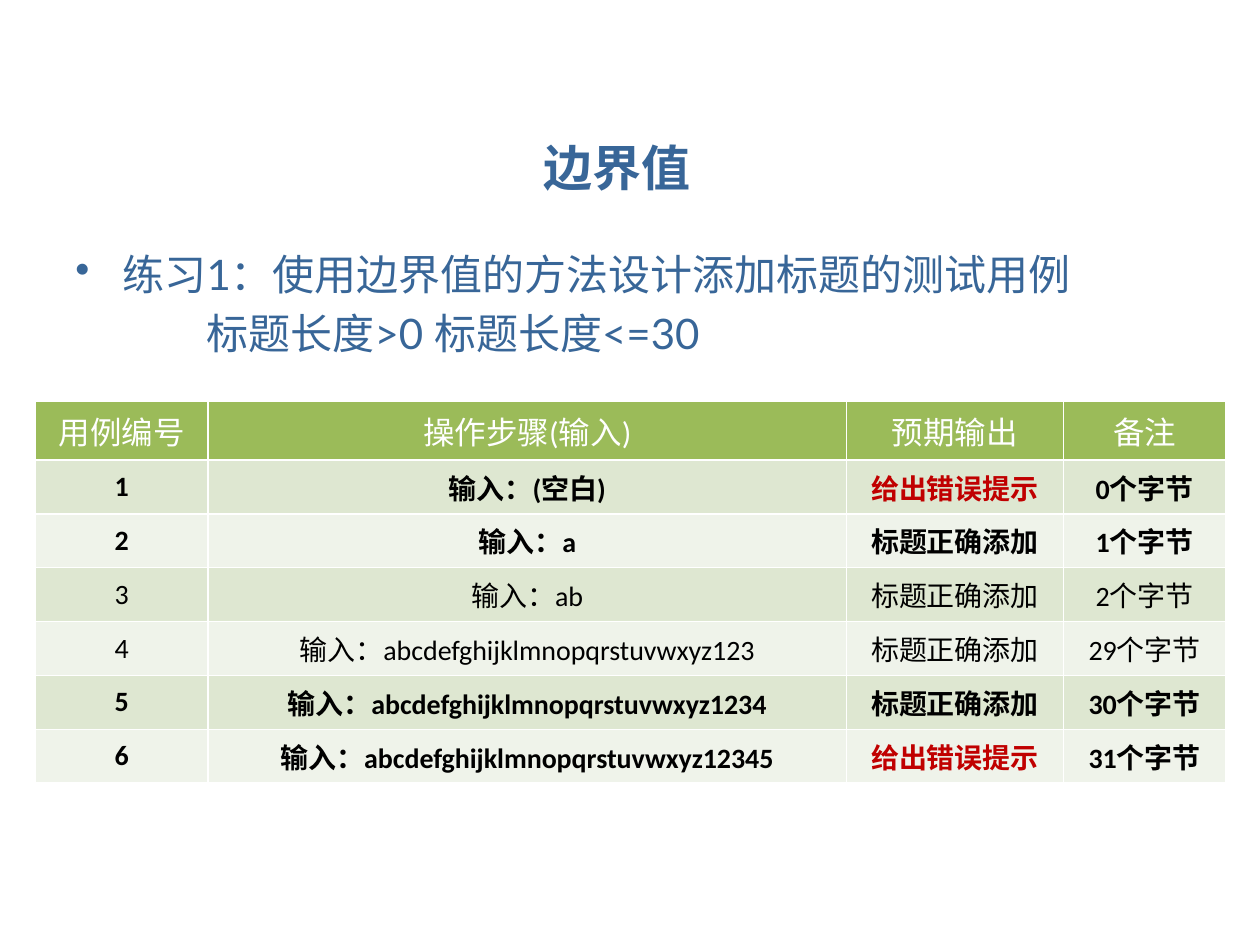
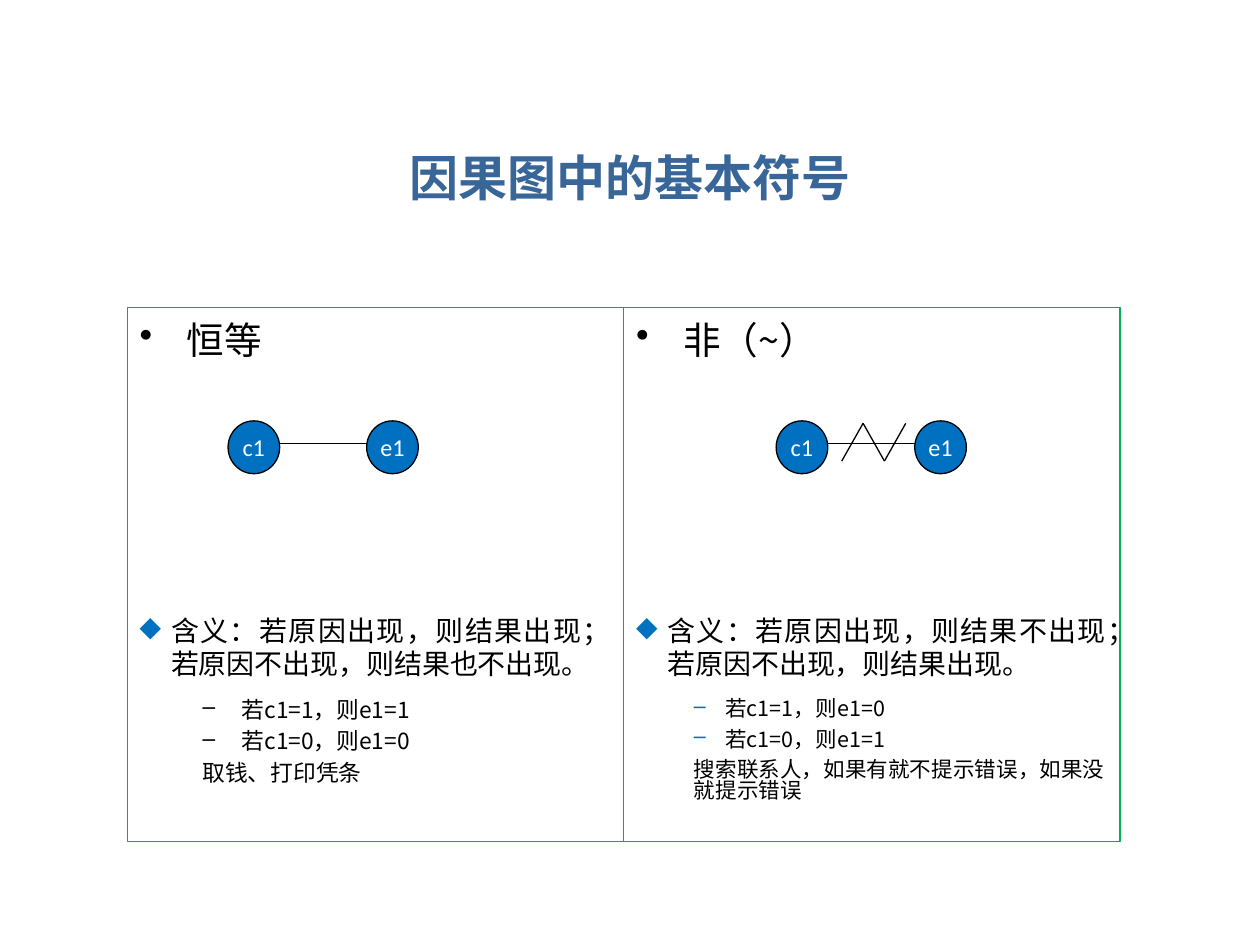
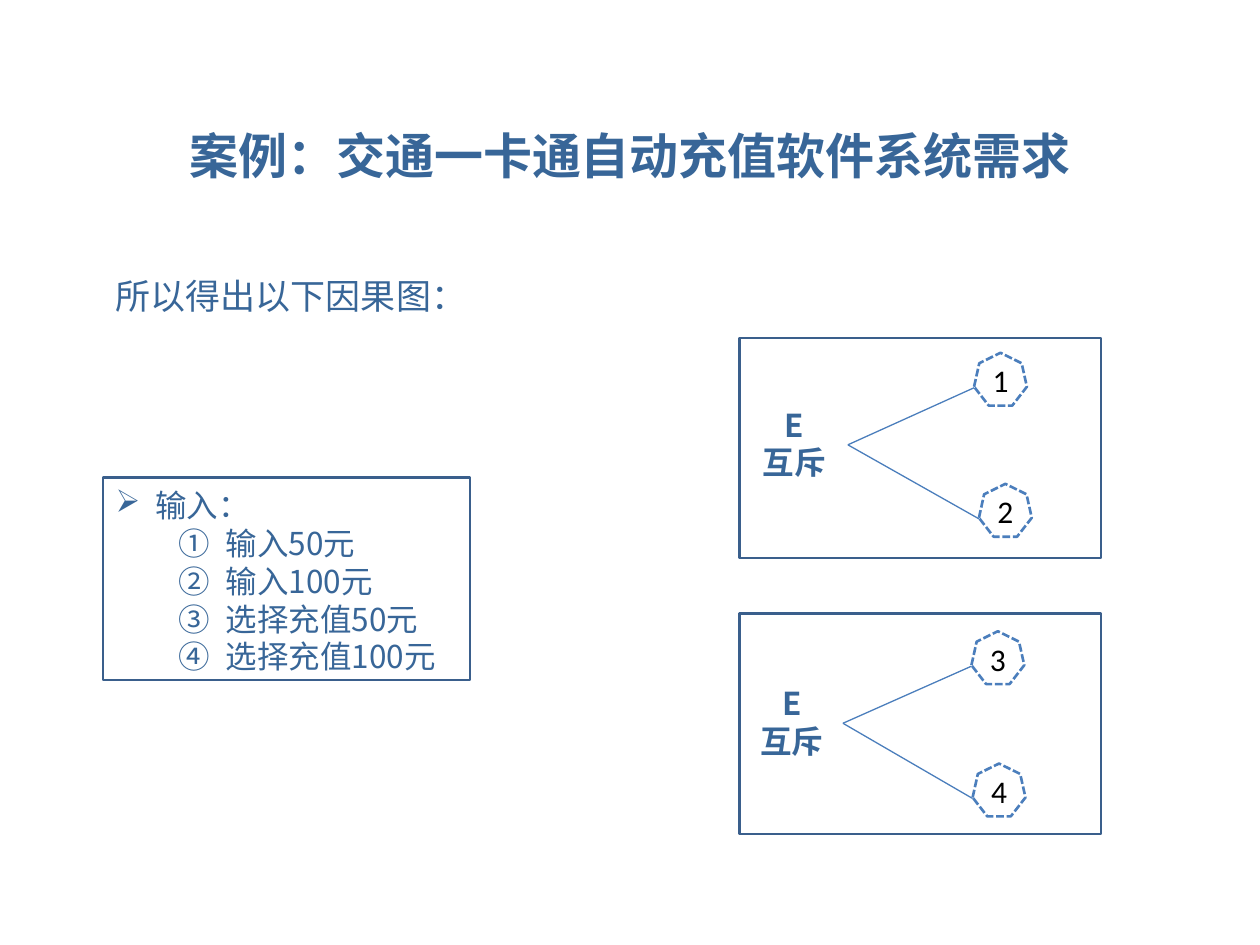
"""Build three slides on boundary values and cause-effect graphs."""
from dataclasses import dataclass
from itertools import pairwise
from typing import Any, NamedTuple

from lxml import etree
from pptx import Presentation
from pptx.dml.color import RGBColor
from pptx.enum.dml import MSO_LINE
from pptx.enum.shapes import MSO_CONNECTOR, MSO_SHAPE
from pptx.enum.text import MSO_ANCHOR, PP_ALIGN
from pptx.oxml.ns import qn
from pptx.util import Pt

NAVY = RGBColor(0x38, 0x66, 0x98)
FRAME = RGBColor(0x3A, 0x5F, 0x8C)
STEEL = RGBColor(0x4B, 0x7E, 0xBC)
BLUE = RGBColor(0x00, 0x70, 0xC0)
GREEN = RGBColor(0x00, 0xB0, 0x50)
HEADER = RGBColor(0x9B, 0xBB, 0x59)
BANDS = (RGBColor(0xDE, 0xE7, 0xD1), RGBColor(0xEF, 0xF3, 0xEA))
RED = RGBColor(0xC0, 0x00, 0x00)
BLACK = RGBColor(0x00, 0x00, 0x00)
WHITE = RGBColor(0xFF, 0xFF, 0xFF)

LATO, CALIBRI, CJK, TIMES = "Lato", "Calibri", "Noto Sans CJK SC", "Times New Roman"
LEFT, CENTER, JUSTIFY = PP_ALIGN.LEFT, PP_ALIGN.CENTER, PP_ALIGN.JUSTIFY
TOP, MIDDLE = MSO_ANCHOR.TOP, MSO_ANCHOR.MIDDLE
RECTANGLE, OVAL, HEPTAGON = MSO_SHAPE.RECTANGLE, MSO_SHAPE.OVAL, MSO_SHAPE.HEPTAGON
STRAIGHT, DASH = MSO_CONNECTOR.STRAIGHT, MSO_LINE.SQUARE_DOT
NUMBERED = "circleNumDbPlain"
INSET = 3.6
BASELINE_DROP = 0.08


class Area(NamedTuple):
    """Left, top, width and height in points."""

    left: float
    top: float
    width: float
    height: float


class Point(NamedTuple):
    """A position in points."""

    x: float
    y: float


class Style(NamedTuple):
    """Character format and line pitch relative to the size."""

    size: float
    name: str = CJK
    color: RGBColor = BLACK
    bold: bool = False
    pitch: float | None = 1.2


@dataclass(frozen=True)
class Line:
    """One paragraph with its format."""

    text: str
    style: Style
    align: PP_ALIGN = LEFT
    level: int = 0
    margin: float = 0
    indent: float = 0
    before: float = 0
    after: float = 0
    bullet: str = ""
    bullet_color: RGBColor | None = None


@dataclass(frozen=True)
class Panel:
    """A symbol of the cause-effect graph with its explanation."""

    left: float
    diagram_left: float
    heading: str
    meaning: str
    details: tuple[Line, ...]
    negated: bool = False


class Choice(NamedTuple):
    """A numbered input and the corner of its heptagon."""

    number: str
    corner: Point


class Exclusion(NamedTuple):
    """Two inputs that exclude each other."""

    frame_top: float
    label: Point
    apex: Point
    choices: tuple[Choice, ...]


TITLE = Style(28, LATO, NAVY, True)
BODY = Style(24, LATO, NAVY)
INTRO = Style(20, CJK, NAVY)
LIST = Style(18, CJK, NAVY)
LABEL = Style(18, CJK, NAVY, True)
NUMBER = Style(18, CALIBRI, BLACK, pitch=None)
NODE = Style(13.8, CALIBRI, WHITE, pitch=None)
HEADING, MEANING = Style(21.5), Style(16)
IDENTITY_DETAIL, NEGATION_DETAIL = Style(13), Style(12.3, pitch=0.95)

COLUMNS = (98.6, 365, 123.8, 92.9)
HEADERS = ("用例编号", "操作步骤(输入)", "预期输出", "备注")
ADDED, ERROR = "标题正确添加", "给出错误提示"
LETTERS = "abcdefghijklmnopqrstuvwxyz"
CASES = (
    ("(空白)", ERROR, 0),
    ("a", ADDED, 1),
    ("ab", ADDED, 2),
    (LETTERS + "123", ADDED, 29),
    (LETTERS + "1234", ADDED, 30),
    (LETTERS + "12345", ERROR, 31),
)
PLAIN_CASES = (3, 4)

PANELS = (
    Panel(
        356.4, 443.5, "非（~）",
        "含义：若原因出现，则结果不出现；若原因不出现，则结果出现。",
        tuple(
            Line(text, NEGATION_DETAIL, level=1, margin=51, indent=-18,
                 before=5.7, bullet="–", bullet_color=BLUE)
            for text in ("若c1=1，则e1=0", "若c1=0，则e1=1")
        ) + (Line("搜索联系人，如果有就不提示错误，如果没就提示错误",
                  NEGATION_DETAIL, level=1, margin=33, before=5.7),),
        negated=True,
    ),
    Panel(
        72.7, 130.3, "恒等",
        "含义：若原因出现，则结果出现；若原因不出现，则结果也不出现。",
        tuple(
            Line(text, IDENTITY_DETAIL, level=1, margin=58.5, indent=-22.5,
                 before=2.6, bullet="–")
            for text in ("若c1=1，则e1=1", "若c1=0，则e1=0")
        ) + (Line("取钱、打印凭条", IDENTITY_DETAIL, level=1, margin=36, before=2.6),),
    ),
)

EXCLUSIONS = (
    Exclusion(350.6, Point(422.6, 385.9), Point(481.7, 413.3),
              (Choice("3", Point(555.1, 360.7)), Choice("4", Point(555.8, 436.3)))),
    Exclusion(193, Point(424.1, 226.8), Point(484.5, 254.2),
              (Choice("1", Point(556.6, 201.6)), Choice("2", Point(559.4, 276.5)))),
)


def apply_format(target: Any, values: dict[str, Any]) -> None:
    """Set each named attribute on the target."""
    for name, value in values.items():
        setattr(target, name, value)


def add_bullet(para: Any, line: Line) -> None:
    """Give the paragraph its bullet and indents."""
    properties = para._p.get_or_add_pPr()
    properties.set("marL", str(Pt(line.margin)))
    properties.set("indent", str(Pt(line.indent)))
    if line.bullet_color is not None:
        color = etree.SubElement(properties, qn("a:buClr"))
        etree.SubElement(color, qn("a:srgbClr"), val=str(line.bullet_color))
    if line.bullet == NUMBERED:
        etree.SubElement(properties, qn("a:buAutoNum"), type=NUMBERED)
    elif line.bullet:
        etree.SubElement(properties, qn("a:buChar"), char=line.bullet)
    else:
        etree.SubElement(properties, qn("a:buNone"))


def write_line(para: Any, line: Line) -> None:
    """Write one formatted line into a paragraph."""
    style = line.style
    apply_format(para, {
        "alignment": line.align,
        "level": line.level,
        "space_before": Pt(line.before),
        "space_after": Pt(line.after),
    })
    if style.pitch:
        para.line_spacing = Pt(round(style.size * style.pitch, 1))
    add_bullet(para, line)
    span = para.add_run()
    span.text = line.text
    apply_format(span.font, {"name": style.name, "size": Pt(style.size), "bold": style.bold})
    span.font.color.rgb = style.color
    properties = span.font._element
    properties.set("lang", "zh-CN")
    latin = properties.find(qn("a:latin"))
    latin.addnext(etree.Element(qn("a:ea"), typeface=CJK))


def write_lines(box: Any, lines: tuple[Line, ...], anchor: MSO_ANCHOR = TOP,
                wrap: bool = True) -> None:
    """Fill a shape with lines."""
    frame = box.text_frame
    first = lines[0].style
    drop = first.size * BASELINE_DROP if first.pitch else 0
    apply_format(frame, {
        "word_wrap": wrap,
        "vertical_anchor": anchor,
        "margin_top": Pt(round(INSET + drop, 1)),
    })
    for index, line in enumerate(lines):
        write_line(frame.add_paragraph() if index else frame.paragraphs[0], line)


def add_text(page: Any, area: Area, *lines: Line, wrap: bool = True) -> None:
    """Place a text box."""
    box = page.shapes.add_textbox(*map(Pt, area))
    write_lines(box, lines, wrap=wrap)


def add_title(page: Any, text: str, area: Area) -> None:
    """Place the slide title."""
    add_text(page, area, Line(text, TITLE, CENTER))


def add_outline(page: Any, kind: MSO_SHAPE, area: Area, color: RGBColor,
                width: float, fill: RGBColor | None = None) -> Any:
    """Draw a preset shape with an outline."""
    shape = page.shapes.add_shape(kind, *map(Pt, area))
    shape.shadow.inherit = False
    if fill is None:
        shape.fill.background()
    else:
        shape.fill.solid()
        shape.fill.fore_color.rgb = fill
    shape.line.color.rgb = color
    shape.line.width = Pt(width)
    return shape


def add_line(page: Any, start: Point, end: Point, color: RGBColor) -> None:
    """Draw a thin straight line."""
    line = page.shapes.add_connector(STRAIGHT, *map(Pt, (*start, *end)))
    line.line.color.rgb = color
    line.line.width = Pt(0.75)
    etree.SubElement(line._element.spPr, qn("a:effectLst"))


def fill_cell(cell: Any, text: str, style: Style, fill: RGBColor) -> None:
    """Write a table cell with white borders."""
    apply_format(cell, {
        "vertical_anchor": MIDDLE,
        "margin_left": Pt(9.4),
        "margin_right": Pt(9.4),
        "margin_top": Pt(INSET),
        "margin_bottom": Pt(INSET),
    })
    properties = cell._tc.get_or_add_tcPr()
    for side in ("lnL", "lnR", "lnT", "lnB"):
        border = etree.SubElement(properties, qn(f"a:{side}"), w=str(Pt(1)))
        solid = etree.SubElement(border, qn("a:solidFill"))
        etree.SubElement(solid, qn("a:srgbClr"), val=str(WHITE))
    cell.fill.solid()
    cell.fill.fore_color.rgb = fill
    write_line(cell.text_frame.paragraphs[0], Line(text, style, CENTER))


def add_case_table(page: Any) -> None:
    """Draw the table of test cases."""
    area = Area(20.2, 229, sum(COLUMNS), 218.6)
    table = page.shapes.add_table(len(CASES) + 1, len(COLUMNS), *map(Pt, area)).table
    table.horz_banding = False
    for column, width in zip(table.columns, COLUMNS):
        column.width = Pt(width)
    for index, row in enumerate(table.rows):
        row.height = Pt(30.8 if index else 33.8)
    for column, text in enumerate(HEADERS):
        fill_cell(table.cell(0, column), text, Style(18, CALIBRI, WHITE, pitch=None), HEADER)
    for number, (entry, result, length) in enumerate(CASES, 1):
        bold = number not in PLAIN_CASES
        texts = (str(number), f"输入：{entry}", result, f"{length}个字节")
        for column, text in enumerate(texts):
            name, color = (TIMES, RED) if text == ERROR else (CALIBRI, BLACK)
            style = Style(16, name, color, bold, None)
            fill_cell(table.cell(number, column), text, style, BANDS[(number - 1) % 2])


def build_boundary_slide(page: Any) -> None:
    """Build the boundary value exercise."""
    add_title(page, "边界值", Area(28.8, 72.7, 647.3, 41))
    add_text(
        page, Area(36, 136.8, 648, 80),
        Line("练习1：使用边界值的方法设计添加标题的测试用例", BODY,
             margin=27, indent=-27, bullet="•"),
        Line("标题长度>0 标题长度<=30", BODY, level=1, margin=75, before=4.8),
    )
    add_case_table(page)


def add_panel(page: Any, panel: Panel) -> None:
    """Draw the frame and text of a symbol."""
    box = add_outline(page, RECTANGLE, Area(panel.left, 175.7, 283.7, 305.3), GREEN, 0.75)
    write_lines(box, (
        Line(panel.heading, HEADING, margin=27, indent=-27, bullet="•"),
        Line(panel.meaning, MEANING, JUSTIFY, margin=18, indent=-18, before=143.6,
             after=6, bullet="◆", bullet_color=BLUE),
        *panel.details,
    ))


def add_symbol(page: Any, panel: Panel) -> None:
    """Draw cause and effect nodes and their link."""
    left, spacing, width = panel.diagram_left, 79.2, 29.5
    for index, name in enumerate(("c1", "e1")):
        area = Area(left + index * spacing, 240.5, width, 30.2)
        node = add_outline(page, OVAL, area, BLACK, 0.75, BLUE)
        write_lines(node, (Line(name, NODE, CENTER),), MIDDLE, wrap=False)
    add_line(page, Point(left + width, 253.4), Point(left + spacing, 253.4), BLACK)
    if panel.negated:
        corners = [Point(left + 37.5 + 12.2 * step, 241.9 if step % 2 else 263.5)
                   for step in range(4)]
        for start, end in pairwise(corners):
            add_line(page, start, end, BLACK)


def build_symbol_slide(page: Any) -> None:
    """Build the slide of basic symbols."""
    add_title(page, "因果图中的基本符号", Area(36, 78.5, 648, 44.6))
    for panel in PANELS:
        add_panel(page, panel)
        add_symbol(page, panel)


def add_exclusion(page: Any, group: Exclusion) -> None:
    """Draw a framed pair of exclusive inputs."""
    add_outline(page, RECTANGLE, Area(422.6, group.frame_top, 206.6, 126), FRAME, 1.25, WHITE)
    add_text(page, Area(*group.label, 59.8, 51.1),
             *(Line(text, LABEL, CENTER) for text in ("E", "互斥")))
    for number, (x, y) in group.choices:
        add_text(page, Area(x + 3.5, y + 1.4, 23.8, 28.8), Line(number, NUMBER), wrap=False)
        heptagon = add_outline(page, HEPTAGON, Area(x, y, 30.2, 30.2), STEEL, 1.5)
        heptagon.line.dash_style = DASH
        add_line(page, group.apex, Point(x, y + 20), STEEL)


def build_case_slide(page: Any) -> None:
    """Build the recharge system case."""
    add_title(page, "案例：交通一卡通自动充值软件系统需求", Area(36, 66.2, 648, 47.5))
    add_text(page, Area(59, 151.9, 601.9, 31.7), Line("所以得出以下因果图：", INTRO))
    inputs = add_outline(page, RECTANGLE, Area(59, 272.9, 209.5, 115.9), FRAME, 1.25, WHITE)
    write_lines(inputs, (
        Line("输入：", LIST, margin=22.5, indent=-22.5, bullet="➢"),
        *(Line(text, LIST, level=1, margin=63, indent=-27, bullet=NUMBERED)
          for text in ("输入50元", "输入100元", "选择充值50元", "选择充值100元")),
    ))
    for group in EXCLUSIONS:
        add_exclusion(page, group)


def main() -> None:
    """Create and save the deck."""
    deck = Presentation()
    deck.slide_width, deck.slide_height = Pt(720), Pt(540)
    for build in (build_boundary_slide, build_symbol_slide, build_case_slide):
        build(deck.slides.add_slide(deck.slide_layouts[6]))
    deck.save("out.pptx")


if __name__ == "__main__":
    main()
